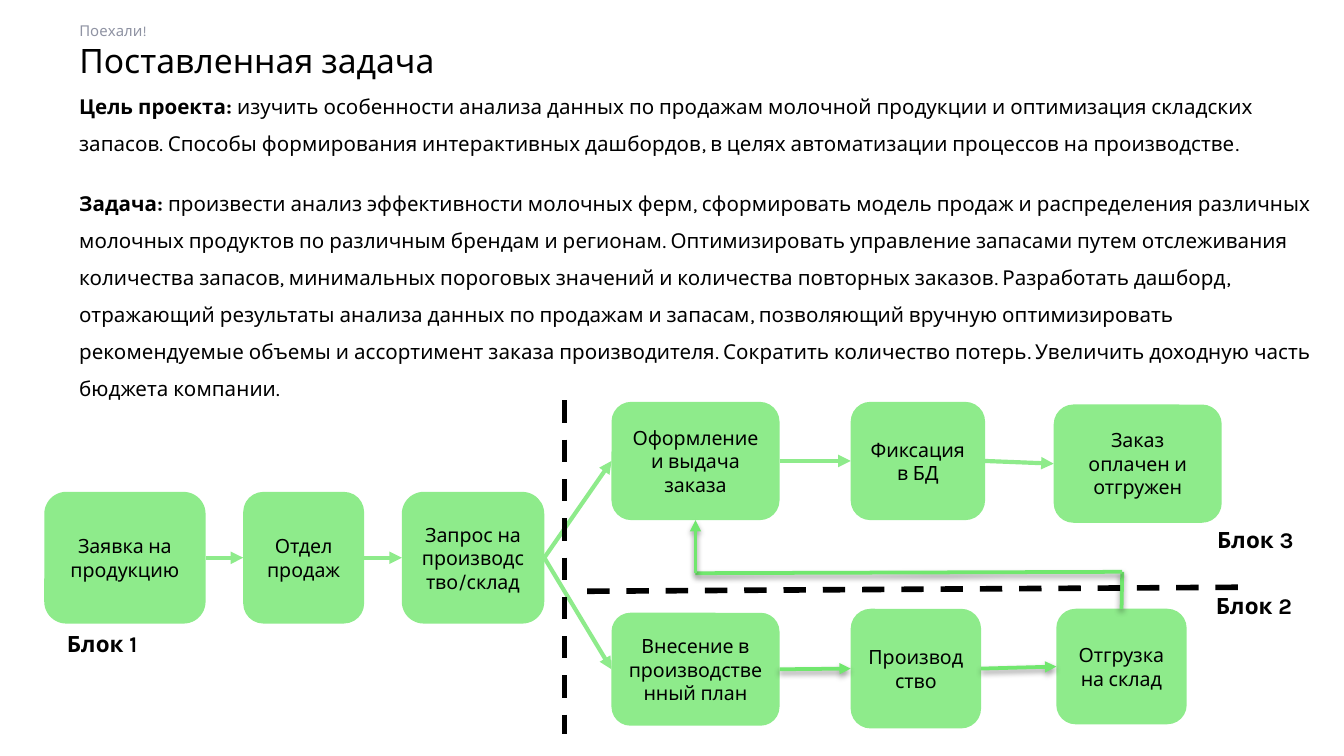
from lxml import etree
from pptx import Presentation
from pptx.dml.color import RGBColor
from pptx.enum.dml import MSO_LINE
from pptx.enum.shapes import MSO_CONNECTOR, MSO_SHAPE
from pptx.enum.text import MSO_ANCHOR, PP_ALIGN
from pptx.oxml import parse_xml
from pptx.oxml.ns import qn
from pptx.util import Inches, Pt

LINE, ROUND, DASH = MSO_CONNECTOR.STRAIGHT, MSO_SHAPE.ROUNDED_RECTANGLE, MSO_LINE.DASH
TOP, MID, LOW = MSO_ANCHOR.TOP, MSO_ANCHOR.MIDDLE, MSO_ANCHOR.BOTTOM
LEFT, MIDST = PP_ALIGN.LEFT, PP_ALIGN.CENTER
NORTH, WEST, SOUTH, EAST = range(4)
FONT = "Karla"
HUES = {"ink": "000000", "hint": "8F93A3", "leaf": "8EEB8B", "stem": "71E76E"}
SHADE = (
    '<a:outerShdw xmlns:a="http://schemas.openxmlformats.org/drawingml/2006/main" '
    'blurRad="39400" dist="20300" dir="5400000" rotWithShape="0">'
    '<a:srgbClr val="000000"><a:alpha val="38000"/></a:srgbClr></a:outerShdw>'
)

deck = Presentation()
deck.slide_width = Inches(10)
deck.slide_height = deck.slide_width * 9 // 16
col, row = deck.slide_width / 100, deck.slide_height / 56.25
slide = deck.slides.add_slide(deck.slide_layouts[6])
shapes = slide.shapes


def write(shape, paras, size, hue="ink", align=LEFT, anchor=TOP, pad=(0, 0), space=None):
    frame = shape.text_frame
    frame.word_wrap = True
    frame.vertical_anchor = anchor
    frame.margin_left = frame.margin_right = Inches(pad[0])
    frame.margin_top = frame.margin_bottom = Inches(pad[1])
    for i, runs in enumerate(paras):
        para = frame.paragraphs[0] if i == 0 else frame.add_paragraph()
        para.alignment = align
        if space:
            para.line_spacing, gap = space
            para.space_before, para.space_after = Pt(gap if i else 0), Pt(gap)
        for text, bold in runs:
            run = para.add_run()
            run.text = text
            run.font.name, run.font.size, run.font.bold = FONT, Pt(size), bold
            run.font.color.rgb = RGBColor.from_string(HUES[hue])


def link(start, end, hue, width, arrow=False, shade=False, dash=False):
    spots = [(0, 0) if isinstance(p[0], str) else p for p in (start, end)]
    (x1, y1), (x2, y2) = spots
    line = shapes.add_connector(
        LINE, round(x1 * col), round(y1 * row), round(x2 * col), round(y2 * row))
    if isinstance(start[0], str):
        line.begin_connect(steps[start[0]], start[1])
    if isinstance(end[0], str):
        line.end_connect(steps[end[0]], end[1])
    line.line.color.rgb = RGBColor.from_string(HUES[hue])
    line.line.width = Pt(width)
    if dash:
        line.line.dash_style = DASH
    props = line._element.spPr
    if arrow:
        etree.SubElement(props.find(qn("a:ln")), qn("a:tailEnd"), type="triangle")
    glow = etree.SubElement(props, qn("a:effectLst"))
    if shade:
        glow.append(parse_xml(SHADE))


goal = [
    ("Цель проекта: ", True),
    ("изучить особенности анализа данных по продажам молочной продукции и оптимизация "
     "складских запасов. Способы формирования интерактивных дашбордов, в целях "
     "автоматизации процессов на производстве.", False),
]
task = [
    ("Задача: ", True),
    ("произвести анализ эффективности молочных ферм, сформировать модель продаж и "
     "распределения различных молочных продуктов по различным брендам и регионам. "
     "Оптимизировать управление запасами путем отслеживания количества запасов, "
     "минимальных пороговых значений и количества повторных заказов. Разработать дашборд, "
     "отражающий результаты анализа данных по продажам и запасам, позволяющий вручную "
     "оптимизировать рекомендуемые объемы и ассортимент заказа производителя. Сократить "
     "количество потерь. Увеличить доходную часть бюджета компании.", False),
]
texts = [
    ((5.9, 2.9, 88.2, 3.1), [[("Поставленная задача", False)]], 18, {"anchor": LOW}),
    ((5.9, 0.3, 65.2, 3.9), [[("Поехали!", False)]], 8, {"hue": "hint", "anchor": MID}),
    ((4.9, 5.6, 95.1, 28.9), [goal, task], 11, {"pad": (0.1, 0.05), "space": (1.5, 6)}),
]
for name, x, y in [("Блок 1", -3.9, 46.7), ("Блок 2", 81.8, 43.9), ("Блок 3", 81.9, 39)]:
    texts.append(((x, y, 23, 3.3), [[(name, True)]], 12,
                  {"align": MIDST, "space": (1.08, 0)}))
for (x, y, w, h), paras, size, style in texts:
    box = shapes.add_textbox(round(x * col), round(y * row), round(w * col), round(h * row))
    write(box, paras, size, **style)

steps = {}
for key, text, x, y, w, h in [
    ("ask", "Заявка на продукцию", 3.3, 36.6, 12, 9.8),
    ("sales", "Отдел продаж", 18.1, 36.6, 9, 9.8),
    ("query", "Запрос на производство/склад", 29.9, 36.6, 10.6, 9.8),
    ("issue", "Оформление и выдача заказа", 45.5, 29.9, 12.5, 8.8),
    ("log", "Фиксация в БД", 63.3, 29.9, 10, 8.8),
    ("paid", "Заказ оплачен и отгружен", 78.4, 30.1, 12.5, 8.8),
    ("plan", "Внесение в производственный план", 45.5, 45.6, 12.5, 8.4),
    ("make", "Производство", 63.3, 45.3, 9.7, 8.9),
    ("stock", "Отгрузка на склад", 78.6, 45.3, 9.7, 8.6),
]:
    step = shapes.add_shape(
        ROUND, round(x * col), round(y * row), round(w * col), round(h * row))
    step.shadow.inherit = False
    step.fill.solid()
    step.fill.fore_color.rgb = RGBColor.from_string(HUES["leaf"])
    step.line.fill.background()
    write(step, [[(text, False)]], 10.5, align=MIDST, anchor=MID, pad=(0.07, 0.04))
    steps[key] = step

for a, b in [("ask", "sales"), ("sales", "query"), ("query", "issue"),
             ("query", "plan"), ("issue", "log"), ("log", "paid")]:
    link((a, EAST), (b, WEST), "leaf", 2.25, arrow=True)
for a, b in [("plan", "make"), ("make", "stock")]:
    link((a, EAST), (b, WEST), "stem", 2, arrow=True, shade=True)

turn, bend = (83.5, 42.55), (51.75, 42.65)
link(("stock", NORTH), turn, "stem", 2, shade=True)
link(turn, bend, "stem", 2, shade=True)
link(bend, ("issue", SOUTH), "stem", 2, arrow=True, shade=True)
link((42, 29.8), (42, 54.6), "ink", 3, dash=True)
link((92.1, 43.7), (42.5, 44), "ink", 3, dash=True)

deck.save("out.pptx")
